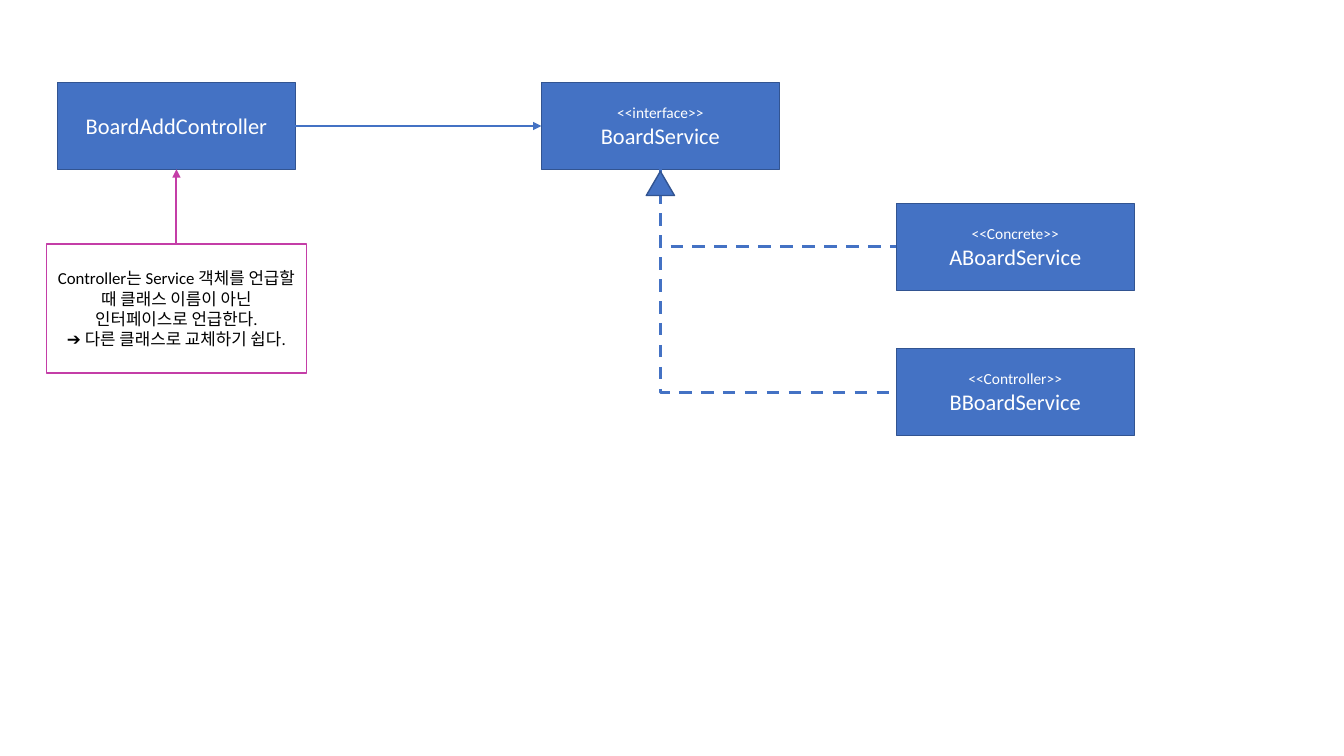
from lxml.etree import SubElement
from pptx import Presentation
from pptx.dml.color import RGBColor
from pptx.enum.dml import MSO_LINE
from pptx.enum.shapes import MSO_CONNECTOR, MSO_SHAPE
from pptx.enum.text import MSO_ANCHOR, PP_ALIGN
from pptx.oxml.ns import qn
from pptx.util import Inches, Pt

BLUE = RGBColor(0x44, 0x72, 0xC4)
NAVY = RGBColor(0x32, 0x54, 0x91)
MAGENTA = RGBColor(0xC4, 0x3E, 0xA7)
WHITE = RGBColor(0xFF, 0xFF, 0xFF)
BLACK = RGBColor(0, 0, 0)

CLASS_WIDTH, CLASS_HEIGHT = 2.36, 0.86
CONTROLLER_LEFT, INTERFACE_LEFT, SERVICE_LEFT = 0.57, 5.37, 8.89
TOP_ROW = 0.82
NOTE_LEFT, NOTE_TOP, NOTE_WIDTH, NOTE_HEIGHT = 0.46, 2.42, 2.58, 1.28
SERVICES = [
    ("<<Concrete>>", "ABoardService", 2.02),
    ("<<Controller>>", "BBoardService", 3.46),
]


def apply(target, formats):
    for name, value in formats.items():
        setattr(target, name, value)


def add_figure(slide, kind, left, top, width, height, fill=BLUE, outline=NAVY):
    figure = slide.shapes.add_shape(
        kind, Inches(left), Inches(top), Inches(width), Inches(height))
    figure.shadow.inherit = False
    figure.fill.solid()
    figure.fill.fore_color.rgb = fill
    figure.line.color.rgb = outline
    figure.line.width = Pt(1)
    return figure


def write_lines(figure, lines, color):
    frame = figure.text_frame
    apply(frame, {"word_wrap": True, "vertical_anchor": MSO_ANCHOR.MIDDLE})
    for index, (text, size) in enumerate(lines):
        paragraph = frame.paragraphs[0] if index == 0 else frame.add_paragraph()
        paragraph.alignment = PP_ALIGN.CENTER
        run = paragraph.add_run()
        run.text = text
        apply(run.font, {"name": "Calibri", "size": Pt(size)})
        run.font.color.rgb = color


def add_class(slide, left, top, name, stereotype=None):
    box = add_figure(slide, MSO_SHAPE.RECTANGLE, left, top, CLASS_WIDTH, CLASS_HEIGHT)
    lines = [(stereotype, 11)] if stereotype else []
    write_lines(box, lines + [(name, 16)], WHITE)


def add_link(slide, kind, start, end, color, formats):
    link = slide.shapes.add_connector(kind, *map(Inches, start + end))
    link.line.color.rgb = color
    apply(link.line, formats)
    SubElement(link._element.spPr, qn("a:effectLst"))
    return link


def add_arrow(slide, start, end, color):
    arrow = add_link(slide, MSO_CONNECTOR.STRAIGHT, start, end, color, {"width": Pt(1.5)})
    SubElement(arrow.line._get_or_add_ln(), qn("a:tailEnd"), type="triangle")


def add_realization(slide, start, end):
    bend = add_link(slide, MSO_CONNECTOR.ELBOW, start, end, BLUE,
                    {"width": Pt(2.25), "dash_style": MSO_LINE.DASH})
    across, down = end[0] - start[0], end[1] - start[1]
    apply(bend, {
        "left": Inches((start[0] + end[0] - down) / 2),
        "top": Inches((start[1] + end[1] - across) / 2),
        "width": Inches(down),
        "height": Inches(across),
    })
    properties = bend._element.spPr
    frame = properties.find(qn("a:xfrm"))
    frame.set("rot", str(270 * 60000))
    frame.set("flipH", "1")
    properties.find(qn("a:prstGeom")).set("prst", "bentConnector2")


def main():
    presentation = Presentation()
    apply(presentation, {"slide_width": Inches(13.33), "slide_height": Inches(7.5)})
    slide = presentation.slides.add_slide(presentation.slide_layouts[6])

    row_middle = TOP_ROW + CLASS_HEIGHT / 2
    row_bottom = TOP_ROW + CLASS_HEIGHT
    controller_center = CONTROLLER_LEFT + CLASS_WIDTH / 2
    interface_center = INTERFACE_LEFT + CLASS_WIDTH / 2

    add_class(slide, CONTROLLER_LEFT, TOP_ROW, "BoardAddController")
    add_class(slide, INTERFACE_LEFT, TOP_ROW, "BoardService", "<<interface>>")
    add_arrow(slide, (CONTROLLER_LEFT + CLASS_WIDTH, row_middle),
              (INTERFACE_LEFT, row_middle), BLUE)

    note = add_figure(slide, MSO_SHAPE.RECTANGLE, NOTE_LEFT, NOTE_TOP,
                      NOTE_WIDTH, NOTE_HEIGHT, WHITE, MAGENTA)
    write_lines(note, [
        ("Controller는 Service 객체를 언급할 때 클래스 이름이 아닌 인터페이스로 언급한다.", 12),
        ("➔ 다른 클래스로 교체하기 쉽다.", 12),
    ], BLACK)
    add_arrow(slide, (controller_center, NOTE_TOP), (controller_center, row_bottom), MAGENTA)

    for stereotype, name, top in SERVICES:
        add_class(slide, SERVICE_LEFT, top, name, stereotype)
        add_realization(slide, (interface_center, row_bottom),
                        (SERVICE_LEFT, top + CLASS_HEIGHT / 2))
    add_figure(slide, MSO_SHAPE.ISOSCELES_TRIANGLE, interface_center - 0.14, 1.7, 0.28, 0.24)

    presentation.save("out.pptx")


if __name__ == "__main__":
    main()
